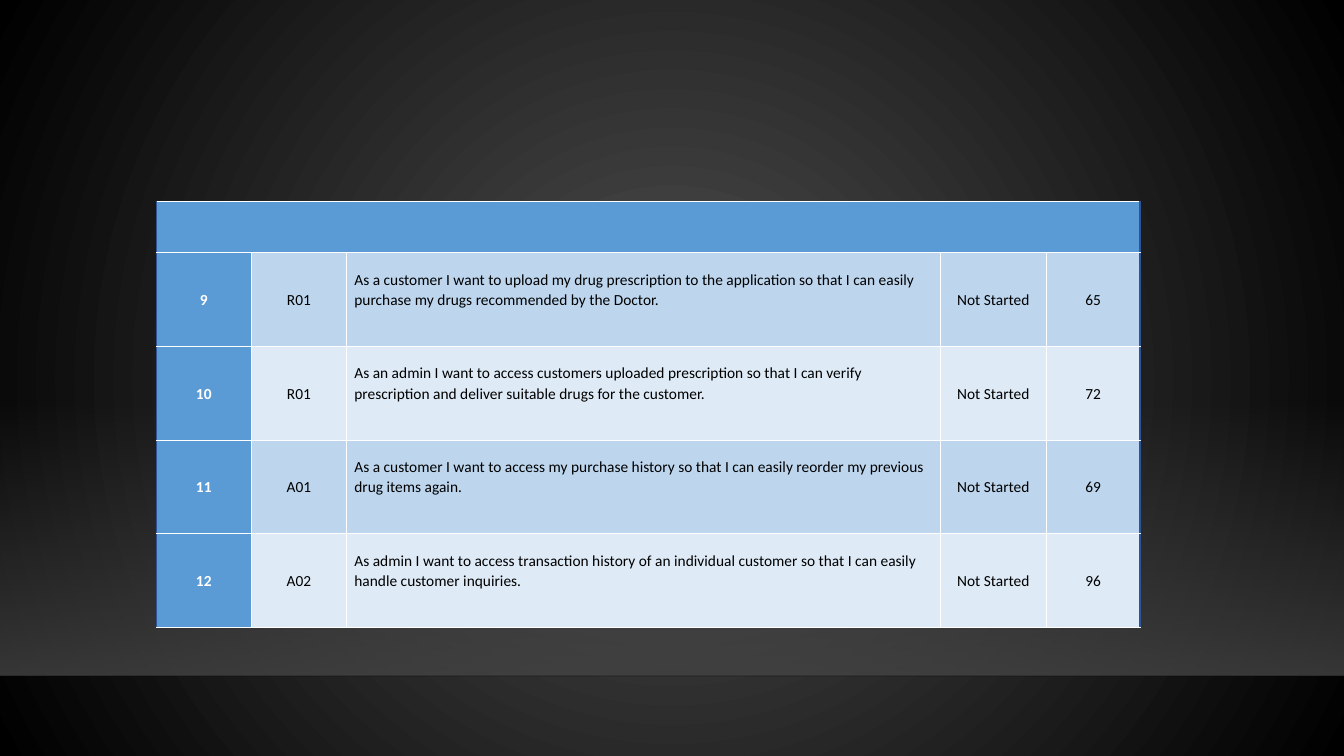
from lxml.etree import SubElement
from pptx import Presentation
from pptx.dml.color import RGBColor
from pptx.enum.shapes import MSO_CONNECTOR as Connector, MSO_SHAPE as Shape
from pptx.enum.text import MSO_ANCHOR as Anchor, PP_ALIGN as Align
from pptx.oxml.ns import qn
from pptx.util import Cm, Pt

STORIES = [
    ("9", "R01", "As a customer I want to upload my drug prescription to the application "
     "so that I can easily purchase my drugs recommended by the Doctor.", "Not Started", "65"),
    ("10", "R01", "As an admin I want to access customers uploaded prescription so that "
     "I can verify prescription and deliver suitable drugs for the customer.", "Not Started", "72"),
    ("11", "A01", "As a customer I want to access my purchase history so that I can easily "
     "reorder my previous drug items again.", "Not Started", "69"),
    ("12", "A02", "As admin I want to access transaction history of an individual customer "
     "so that I can easily handle customer inquiries.", "Not Started", "96"),
]
COLORS = {
    "glow": "505050", "edge": "000000", "floor": "454545", "horizon": "000001",
    "accent": "5B9BD5", "odd": "BDD6EE", "even": "DEEAF6",
    "grid": "FFFFFF", "side": "2F5496", "text": "000000", "number": "FFFFFF",
}
SLIDE_W, SLIDE_H = Cm(33.87), Cm(19.05)
FLOOR_TOP, HORIZON = Cm(10.06), Cm(17.03)
TABLE_LEFT, TABLE_TOP = Cm(3.94), Cm(5.08)
COLUMN_WIDTHS = [Cm(2.39), Cm(2.41), Cm(14.96), Cm(2.67), Cm(2.36)]
HEADER_H, STORY_H = Cm(1.29), Cm(2.36)
STORY_COLUMN, LAST_COLUMN = 2, len(COLUMN_WIDTHS) - 1


def rgb(name):
    return RGBColor.from_string(COLORS[name])


def set_alpha(color_element, percent):
    SubElement(color_element, qn("a:alpha"), val=str(percent * 1000))


def fill_gradient(fill, *names):
    fill.gradient()
    for stop, name in zip(fill.gradient_stops, names):
        stop.color.rgb = rgb(name)


def paint_background(slide):
    """Radial glow from the slide centre."""
    fill_gradient(slide.background.fill, "glow", "edge")
    gradient = slide._element.find(".//" + qn("a:gradFill"))
    gradient.remove(gradient.find(qn("a:lin")))
    circle = SubElement(gradient, qn("a:path"), path="circle")
    SubElement(circle, qn("a:fillToRect"), dict.fromkeys("ltrb", "50000"))


def add_floor(slide):
    floor = slide.shapes.add_shape(Shape.RECTANGLE, 0, FLOOR_TOP, SLIDE_W, HORIZON - FLOOR_TOP)
    floor.shadow.inherit = False
    floor.line.fill.background()
    fill_gradient(floor.fill, "floor", "floor")
    floor.fill.gradient_angle = 270
    for color, alpha in zip(floor._element.spPr.iter(qn("a:srgbClr")), (0, 80)):
        set_alpha(color, alpha)

    horizon = slide.shapes.add_connector(Connector.STRAIGHT, 0, HORIZON, SLIDE_W, HORIZON)
    horizon.line.width = Pt(1)
    horizon.line.color.rgb = rgb("horizon")
    properties = horizon._element.spPr
    set_alpha(properties.find(".//" + qn("a:srgbClr")), 20)
    SubElement(properties, qn("a:effectLst"))


def set_borders(cell, left, right):
    """Draw 1 pt borders; a side given as None stays open."""
    properties = cell._tc.get_or_add_tcPr()
    for side, name in zip("LRTB", (left, right, "grid", "grid")):
        border = SubElement(properties, qn("a:ln" + side), w=str(Pt(1)))
        if name:
            solid = SubElement(border, qn("a:solidFill"))
            SubElement(solid, qn("a:srgbClr"), val=COLORS[name])
        else:
            SubElement(border, qn("a:noFill"))


def write(cell, text, color="text", bold=False, align=Align.CENTER, bottom=0):
    cell.vertical_anchor = Anchor.MIDDLE
    cell.margin_left = cell.margin_right = Cm(0.19)
    cell.margin_top, cell.margin_bottom = 0, bottom
    paragraph = cell.text_frame.paragraphs[0]
    paragraph.alignment = align
    paragraph.line_spacing = 1.07
    run = paragraph.add_run()
    run.text = text
    run.font.name, run.font.size, run.font.bold = "Calibri", Pt(11), bold
    run.font.color.rgb = rgb(color)


def add_backlog(slide):
    row_heights = [HEADER_H] + [STORY_H] * len(STORIES)
    table = slide.shapes.add_table(
        len(row_heights), len(COLUMN_WIDTHS), TABLE_LEFT, TABLE_TOP,
        sum(COLUMN_WIDTHS), sum(row_heights)).table
    table.first_row = table.horz_banding = False
    for column, width in zip(table.columns, COLUMN_WIDTHS):
        column.width = width
    for row, height in zip(table.rows, row_heights):
        row.height = height

    for r in range(len(row_heights)):
        inner = "grid" if r else None
        for c in range(len(COLUMN_WIDTHS)):
            cell = table.cell(r, c)
            set_borders(cell, "side" if c == 0 else inner, "side" if c == LAST_COLUMN else inner)
            band = "odd" if r % 2 else "even"
            cell.fill.solid()
            cell.fill.fore_color.rgb = rgb("accent" if r == 0 or c == 0 else band)
            if r == 0:
                continue
            text = STORIES[r - 1][c]
            if c == 0:
                write(cell, text, color="number", bold=True)
            elif c == STORY_COLUMN:
                write(cell, text, align=Align.LEFT, bottom=Cm(0.51))
            else:
                write(cell, text)


def main():
    deck = Presentation()
    deck.slide_width, deck.slide_height = SLIDE_W, SLIDE_H
    slide = deck.slides.add_slide(deck.slide_layouts[6])
    paint_background(slide)
    add_floor(slide)
    add_backlog(slide)
    deck.save("out.pptx")


if __name__ == "__main__":
    main()
